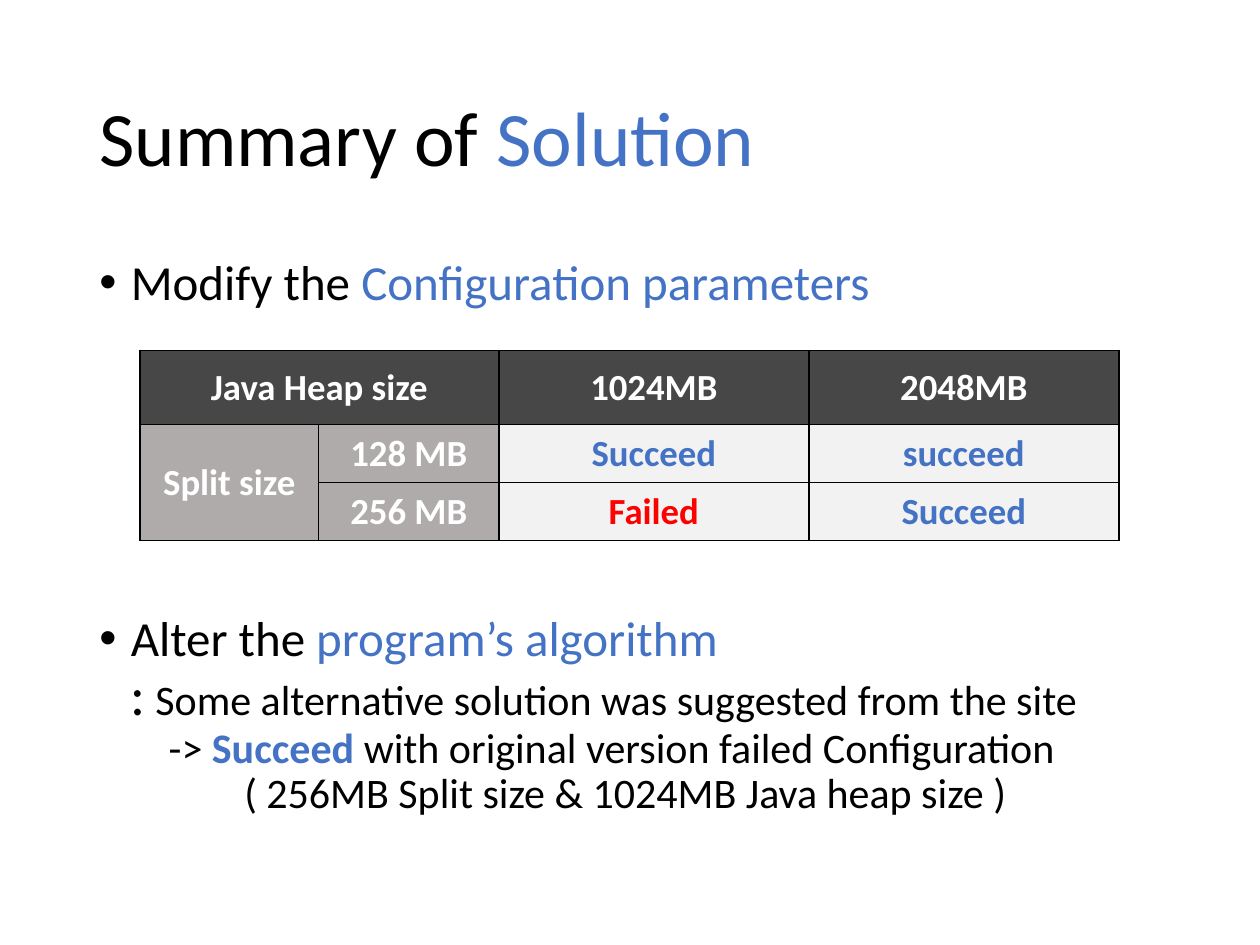
from lxml.etree import SubElement
from pptx import Presentation
from pptx.dml.color import RGBColor
from pptx.enum.text import MSO_ANCHOR, PP_ALIGN
from pptx.oxml.ns import qn
from pptx.util import Inches, Pt

BLACK, WHITE, BLUE, RED = "000000", "FFFFFF", "4472C4", "FF0000"
GREY, PALE = "AFABAB", "F2F2F2"
UNIT = Inches(0.1)


def paint(fill, color):
    fill.solid()
    fill.fore_color.rgb = RGBColor.from_string(color)


def add_spans(para, spans):
    for text, size, color, bold in spans:
        span = para.add_run()
        span.text = text
        for name, value in {"name": "Calibri", "size": Pt(size), "bold": bold}.items():
            setattr(span.font, name, value)
        paint(span.font.fill, color)


deck = Presentation()
deck.slide_width, deck.slide_height = 100 * UNIT, 75 * UNIT
page = deck.slides.add_slide(deck.slide_layouts[6])

title = [(0, 0, 0, False, [("Summary of ", 44, BLACK, False), ("Solution", 44, BLUE, False)])]
body = [
    (2.5, -2.5, 0, True, [("Modify the ", 28, BLACK, False),
                          ("Configuration parameters", 28, BLUE, False)]),
    (2.5, -2.5, 173, True, [("Alter the ", 28, BLACK, False),
                            ("program’s algorithm", 28, BLUE, False)]),
    (2.5, 0, 0, False, [(":", 32, BLACK, False),
                        (" Some alternative solution was suggested from the site", 24, BLACK, False)]),
    (5.5, 0, 0, False, [("-> ", 24, BLACK, False), ("Succeed", 24, BLUE, True),
                        (" with original version failed Configuration", 24, BLACK, False)]),
    (11.5, 0, 0, False, [("( 256MB Split size & 1024MB Java heap size )", 24, BLACK, False)]),
]
blocks = [(4, 14.5, MSO_ANCHOR.MIDDLE, title), (20, 47.6, MSO_ANCHOR.TOP, body)]

for top, height, anchor, lines in blocks:
    box = page.shapes.add_textbox(*(int(n * UNIT) for n in (6.9, top, 86.2, height)))
    frame = box.text_frame
    frame.word_wrap = True
    frame.vertical_anchor = anchor
    for index, (margin, indent, before, bullet, spans) in enumerate(lines):
        para = frame.add_paragraph() if index else frame.paragraphs[0]
        for name, value in {"line_spacing": 0.9, "space_before": Pt(before)}.items():
            setattr(para, name, value)
        properties = para._p.get_or_add_pPr()
        properties.set("marL", str(int(margin * UNIT)))
        properties.set("indent", str(int(indent * UNIT)))
        if bullet:
            SubElement(properties, qn("a:buFont"), typeface="Arial")
            SubElement(properties, qn("a:buChar"), char="•")
        add_spans(para, spans)

columns, rows = (14.2, 14.3, 24.6, 24.6), (5.9, 4.6, 4.6)
table = page.shapes.add_table(
    len(rows), len(columns),
    *(int(n * UNIT) for n in (11.1, 27.8, sum(columns), sum(rows)))).table
table.horz_banding = False
for column, width in zip(table.columns, columns):
    column.width = int(width * UNIT)
for row, height in zip(table.rows, rows):
    row.height = int(height * UNIT)
table.cell(0, 0).merge(table.cell(0, 1))
table.cell(1, 0).merge(table.cell(2, 0))

labels = [
    ["Java Heap size", "", "1024MB", "2048MB"],
    ["Split size", "128 MB", "Succeed", "succeed"],
    ["", "256 MB", "Failed", "Succeed"],
]
for row_index, row_labels in enumerate(labels):
    for column_index, label in enumerate(row_labels):
        cell = table.cell(row_index, column_index)
        cell.vertical_anchor = MSO_ANCHOR.MIDDLE
        properties = cell._tc.get_or_add_tcPr()
        for side in ("lnL", "lnR", "lnT", "lnB"):
            line = SubElement(properties, qn(f"a:{side}"), w=str(Pt(1)))
            SubElement(SubElement(line, qn("a:solidFill")), qn("a:srgbClr"), val=BLACK)
        is_header, is_result = row_index == 0, column_index > 1
        paint(cell.fill, BLACK if is_header else PALE if is_result else GREY)
        if is_header:
            shade = properties.find(qn("a:solidFill")).find(qn("a:srgbClr"))
            SubElement(shade, qn("a:alpha"), val="72000")
        if label:
            color = WHITE if is_header or not is_result else RED if label == "Failed" else BLUE
            para = cell.text_frame.paragraphs[0]
            para.alignment = PP_ALIGN.CENTER
            add_spans(para, [(label, 21, color, True)])

deck.save("out.pptx")
